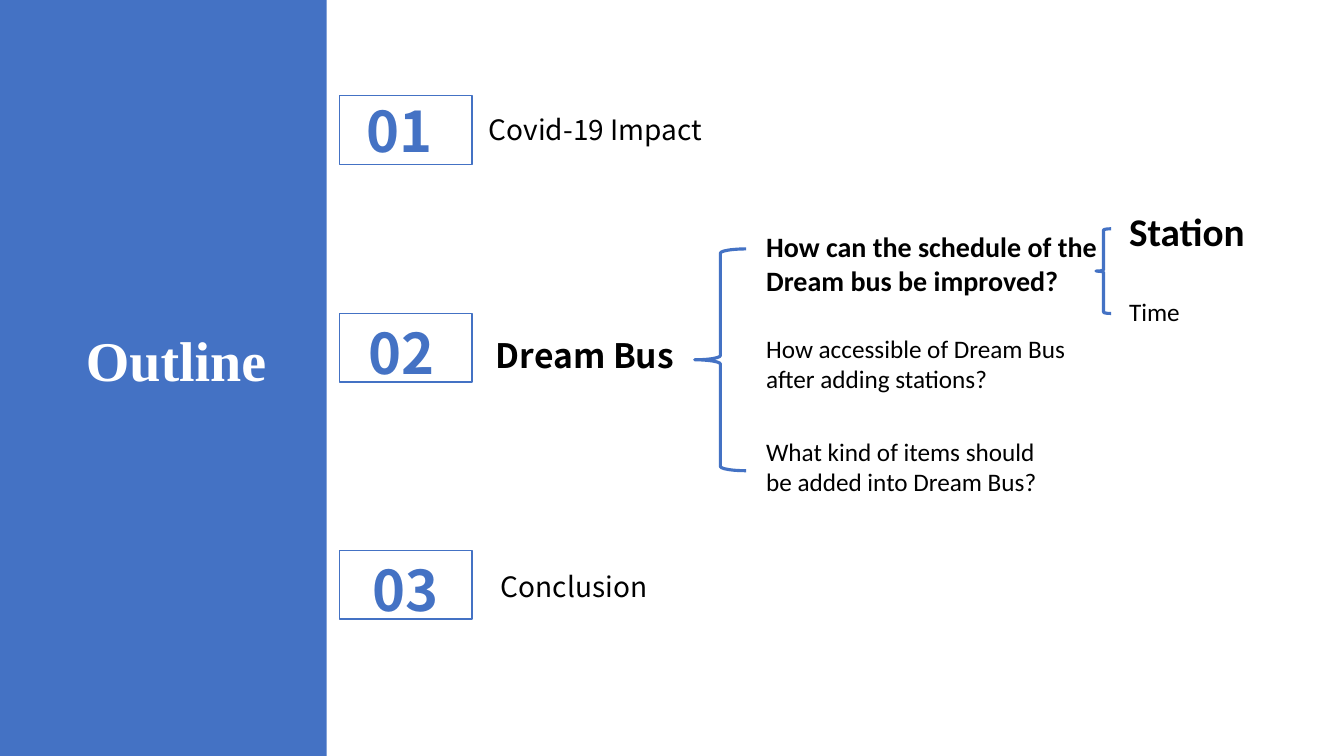
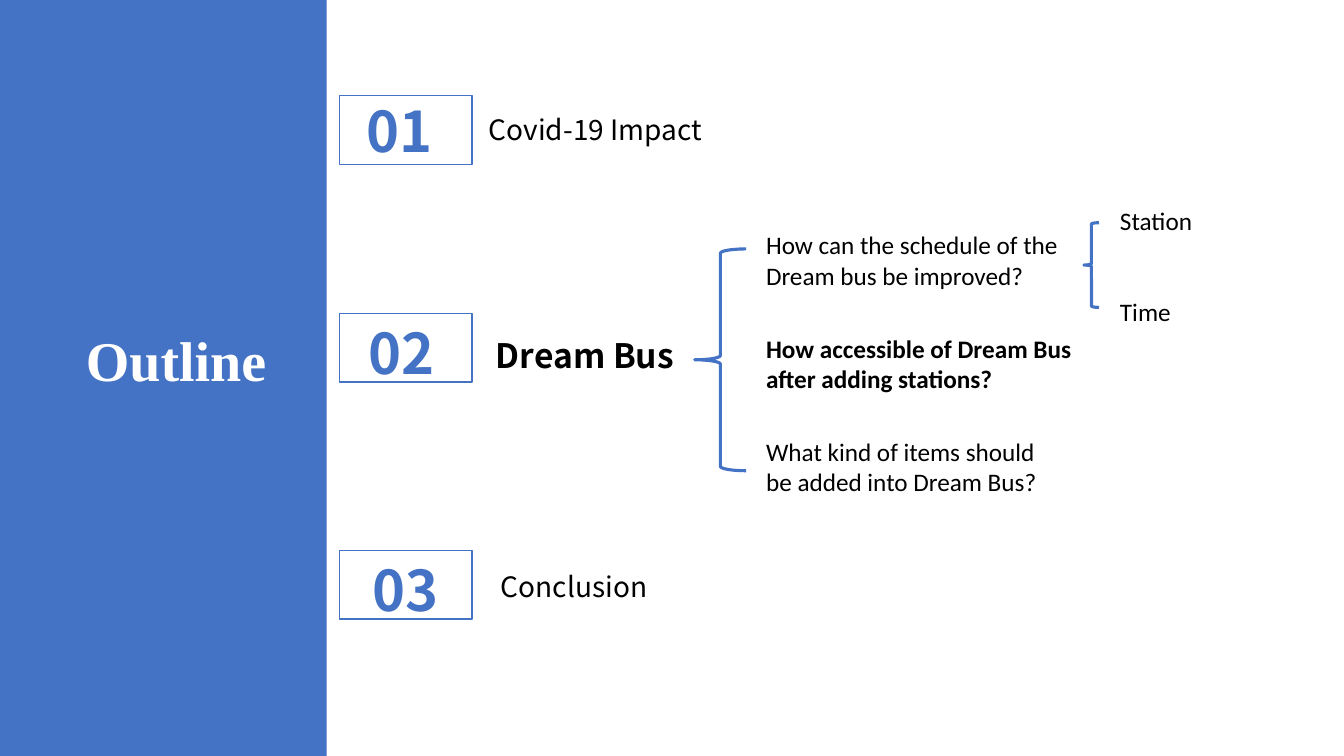
from pptx import Presentation
from pptx.dml.color import RGBColor
from pptx.enum.shapes import MSO_SHAPE
from pptx.enum.text import MSO_ANCHOR, MSO_AUTO_SIZE, PP_ALIGN
from pptx.util import Inches, Pt

RECT, BRACE = MSO_SHAPE.RECTANGLE, MSO_SHAPE.LEFT_BRACE
LEFT, MID, RIGHT = PP_ALIGN.LEFT, PP_ALIGN.CENTER, PP_ALIGN.RIGHT
WIDE, HIGH = 13.33, 7.5
COLORS = {"blue": "4472C4", "white": "FFFFFF", "black": "000000"}
HEAD, TOPIC, BODY = "Times New Roman", "Noto Sans CJK SC", "Calibri"

# Columns, from left to right
COL = {"band": 0, "box": 3.37, "fork": 6.89, "ask": 7.5}
BAND, BOX = 3.24, (1.31, 0.68)
TITLE = (0, 3.18, 2.74, 0.77)
FORK = (COL["fork"], 2.47, 0.51, 2.2)
TWIG = (0.15, 0.84)

PLAIN = {"name": BODY, "size": Pt(18), "bold": False}
STRONG = PLAIN | {"bold": True}
NUMBER = {"name": TOPIC, "size": Pt(40), "bold": True}
ITEM = {"name": TOPIC, "size": Pt(20), "bold": False}
MAIN = {"name": TOPIC, "size": Pt(24), "bold": True}

# Top of box, number and its place, label and its place, label format
TOPICS = [
    (0.95, "01", (3.01, 0.91, 1.91, 0.77),
     "Covid-19 Impact", (4.75, 1.07, 5.82, 0.44), ITEM),
    (3.11, "02", (2.9, 3.11, 2.16, 0.77),
     "Dream Bus", (4.82, 3.27, 5.88, 0.5), MAIN),
    (5.46, "03", (2.92, 5.46, 2.21, 0.77),
     "Conclusion", (4.87, 5.6, 5.88, 0.44), ITEM),
]
# Text, top, width
ASKS = [
    ("How can the schedule of the Dream bus be improved?", 2.23, 3.26),
    ("How accessible of Dream Bus after adding stations?", 3.26, 3.59),
    ("What kind of items should be added into Dream Bus?", 4.28, 3.07),
]
# What changes from slide to slide
PLANS = [
    {"asks": [STRONG | {"size": Pt(20)}, PLAIN, PLAIN], "extra": 0.25,
     "twig": (10.87, 2.27), "leaf": 11.1, "top": 2.01,
     "station": STRONG | {"size": Pt(28)}},
    {"asks": [PLAIN, STRONG, PLAIN], "extra": 0,
     "twig": (10.75, 2.21), "leaf": 11.01, "top": 1.99,
     "station": PLAIN},
]


def color(name):
    return RGBColor.from_string(COLORS[name])


def inches(place):
    return [Inches(part) for part in place]


def style(shape, text, form, hue="black", align=LEFT):
    """Put formatted text into a text box or placeholder."""
    frame = shape.text_frame
    frame.text = text
    frame.word_wrap = True
    frame.auto_size = MSO_AUTO_SIZE.NONE
    frame.vertical_anchor = MSO_ANCHOR.TOP
    para = frame.paragraphs[0]
    para.alignment = align
    font = para.runs[0].font
    for key, value in form.items():
        setattr(font, key, value)
    font.color.rgb = color(hue)


def label(slide, place, *args, **kwargs):
    style(slide.shapes.add_textbox(*inches(place)), *args, **kwargs)


def shape(slide, kind, place, fill=None, line=0):
    item = slide.shapes.add_shape(kind, *inches(place))
    item.shadow.inherit = False
    if fill:
        item.fill.solid()
        item.fill.fore_color.rgb = color(fill)
    else:
        item.fill.background()
    if line:
        item.line.color.rgb = color("blue")
        item.line.width = Pt(line)
    else:
        item.line.fill.background()


def title(slide, text):
    """Set the title on top of the side band."""
    shape(slide, RECT, (COL["band"], 0, BAND, HIGH), fill="blue")
    head = slide.shapes.title
    head.left, head.top, head.width, head.height = inches(TITLE)
    form = {"name": HEAD, "size": Pt(40), "bold": True}
    style(head, text, form, "white", RIGHT)
    slide.shapes.element.append(head.element)


def topics(slide):
    for top, number, spot, text, place, form in TOPICS:
        shape(slide, RECT, (COL["box"], top, *BOX), line=1)
        label(slide, spot, number, NUMBER, "blue", MID)
        label(slide, place, text, form)


def branches(slide, plan):
    """Draw the questions and the two leaves of the first one."""
    shape(slide, BRACE, FORK, line=2.25)
    extra = plan["extra"]
    for (text, top, width), form in zip(ASKS, plan["asks"]):
        label(slide, (COL["ask"], top, width + extra, 0.71), text, form)
        extra = 0
    shape(slide, BRACE, (*plan["twig"], *TWIG), line=2.25)
    leaf = plan["leaf"]
    label(slide, (leaf, plan["top"], 1.37, 0.57), "Station", plan["station"])
    label(slide, (leaf, 2.89, 1.23, 0.4), "Time", PLAIN)


def main():
    deck = Presentation()
    deck.slide_width, deck.slide_height = inches((WIDE, HIGH))
    for plan in PLANS:
        slide = deck.slides.add_slide(deck.slide_layouts[5])
        title(slide, "Outline")
        topics(slide)
        branches(slide, plan)
    deck.save("out.pptx")


if __name__ == "__main__":
    main()
